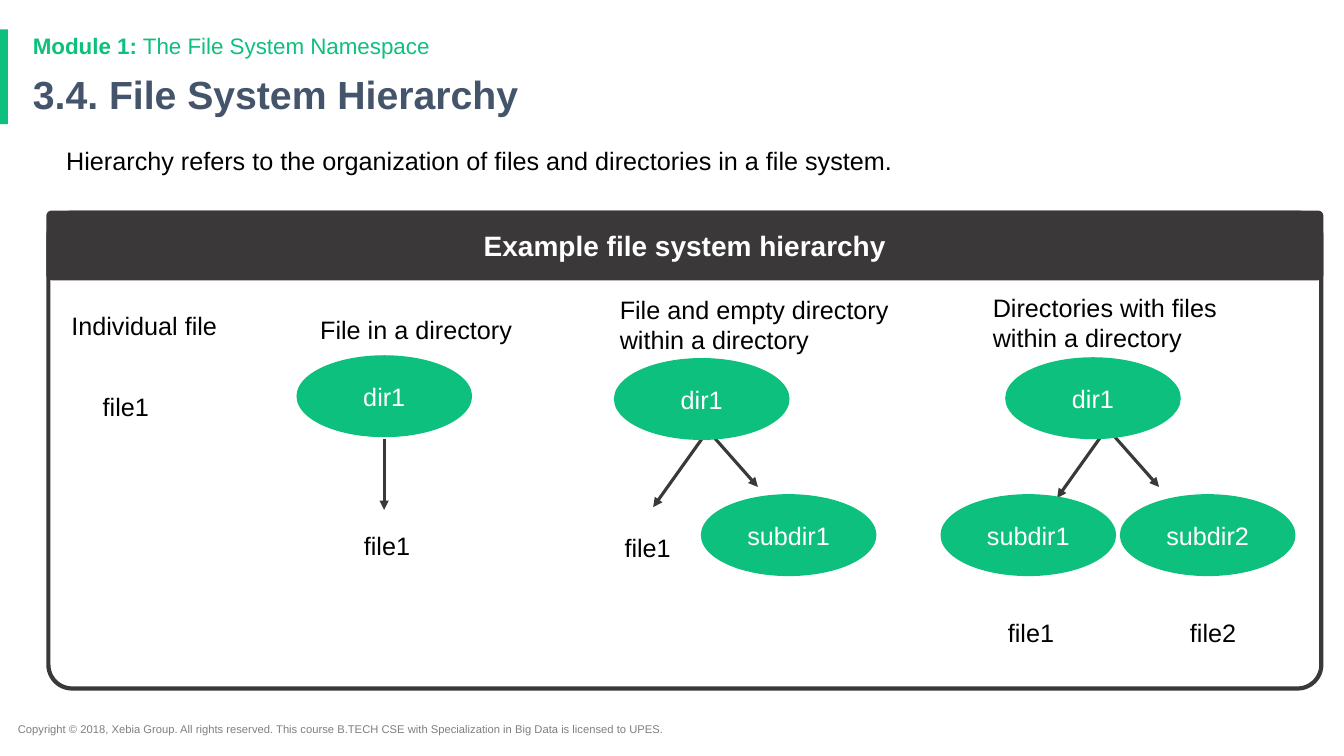
from dataclasses import dataclass

import pptx
import pptx.dml.color
import pptx.enum.shapes
import pptx.enum.text
import pptx.oxml
import pptx.oxml.ns
import pptx.util
from pptx.util import Cm

SHAPE = pptx.enum.shapes.MSO_SHAPE
ANCHOR = pptx.enum.text.MSO_ANCHOR
ALIGN = pptx.enum.text.PP_ALIGN


@dataclass(frozen=True)
class Theme:
    font: str = "Arial"
    green: str = "0EC07D"
    dark: str = "3A3838"
    slate: str = "44546A"
    gray: str = "7F7F7F"
    black: str = "000000"
    white: str = "FFFFFF"
    title: int = 28
    header: int = 20
    body: int = 18
    module: int = 16
    footer: int = 8


@dataclass(frozen=True)
class Label:
    text: str
    x: float
    y: float
    w: float
    h: float
    size: int
    color: str
    bold: bool = False
    wrap: bool = True
    spacing: float = 1.0
    anchor: ANCHOR = ANCHOR.TOP


@dataclass(frozen=True)
class Directory:
    name: str
    x: float
    y: float


@dataclass(frozen=True)
class Arrow:
    x: float
    y: float
    dx: float
    dy: float


T = Theme()
DIR_W, DIR_H = 4.39, 2.03
FILE_W, LINE_H, TWO_LINES_H = 1.68, 1.02, 1.8
PANEL_X, PANEL_Y, PANEL_W, PANEL_H, HEADER_H = 1.22, 5.36, 32.08, 11.99, 1.65
SUBDIR_Y = 12.47
DOWN, LEFT, RIGHT = (0, 1.78), (-1.27, 1.78), (1.24, 1.4)


def rgb(color: str) -> pptx.dml.color.RGBColor:
    return pptx.dml.color.RGBColor.from_string(color)


def style_run(r, size: int, color: str, bold: bool = False) -> None:
    r.font.name = T.font
    r.font.size = pptx.util.Pt(size)
    r.font.bold = bold
    r.font.color.rgb = rgb(color)


def add_label(s, label: Label):
    box = s.shapes.add_textbox(Cm(label.x), Cm(label.y), Cm(label.w), Cm(label.h))
    tf = box.text_frame
    tf.word_wrap = label.wrap
    tf.vertical_anchor = label.anchor
    tf.text = label.text
    p = tf.paragraphs[0]
    p.line_spacing = label.spacing
    style_run(p.runs[0], label.size, label.color, label.bold)
    return p


def add_block(s, kind: SHAPE, x: float, y: float, w: float, h: float,
              fill: str, line: str = "", width: float = 1):
    sp = s.shapes.add_shape(kind, Cm(x), Cm(y), Cm(w), Cm(h))
    sp.shadow.inherit = False
    sp.fill.solid()
    sp.fill.fore_color.rgb = rgb(fill)
    if line:
        sp.line.color.rgb = rgb(line)
        sp.line.width = pptx.util.Pt(width)
    else:
        sp.line.fill.background()
    return sp


def center_text(sp, text: str, size: int, bold: bool = False) -> None:
    tf = sp.text_frame
    tf.text = text
    tf.vertical_anchor = ANCHOR.MIDDLE
    p = tf.paragraphs[0]
    p.alignment = ALIGN.CENTER
    style_run(p.runs[0], size, T.white, bold)


def add_panel(s, h: float, fill: str):
    sp = add_block(s, SHAPE.ROUNDED_RECTANGLE, PANEL_X, PANEL_Y, PANEL_W, h, fill, T.dark, 3)
    sp.adjustments[0] = 0.05
    return sp


def add_directory(s, directory: Directory) -> None:
    sp = add_block(s, SHAPE.OVAL, directory.x, directory.y, DIR_W, DIR_H, T.green, T.green)
    center_text(sp, directory.name, T.body)


def add_arrow(s, arrow: Arrow) -> None:
    line = s.shapes.add_connector(
        pptx.enum.shapes.MSO_CONNECTOR.STRAIGHT, Cm(arrow.x), Cm(arrow.y),
        Cm(arrow.x + arrow.dx), Cm(arrow.y + arrow.dy))
    line.line.color.rgb = rgb(T.dark)
    line.line.width = pptx.util.Pt(2.25)
    ns = pptx.oxml.ns.nsdecls("a")
    line.line._get_or_add_ln().append(
        pptx.oxml.parse_xml(f'<a:tailEnd {ns} type="triangle"/>'))
    line._element.spPr.append(pptx.oxml.parse_xml(f"<a:effectLst {ns}/>"))


def heading(text: str, x: float, y: float, w: float, h: float) -> Label:
    return Label(text, x, y, w, h, T.body, T.black, wrap=h > LINE_H)


def file_label(name: str, x: float, y: float) -> Label:
    return heading(name, x, y, FILE_W, LINE_H)


FOOTER = Label(
    "Copyright © 2018, Xebia Group. All rights reserved. This course B.TECH CSE "
    "with Specialization in Big Data is licensed to UPES.",
    0.2, 18.08, 18.11, 0.61, T.footer, T.gray)
TITLE = Label("3.4. File System Hierarchy", 0.58, 1.75, 29.21, 1.37, T.title, T.slate,
              bold=True, spacing=0.9, anchor=ANCHOR.MIDDLE)
MODULE = Label("Module 1:", 0.58, 0.76, 29.21, 0.84, T.module, T.green,
               bold=True, spacing=0.9)
INTRO = Label("Hierarchy refers to the organization of files and directories in a file system.",
              1.42, 3.63, 28.55, 13.44, T.body, T.black, spacing=0.9)

EXAMPLE_LABELS = [
    heading("Individual file", 1.55, 7.7, 4.22, LINE_H),
    heading("File in a directory", 7.82, 7.8, 5.38, LINE_H),
    heading("File and empty directory within a directory", 15.37, 7.29, 8.33, TWO_LINES_H),
    heading("Directories with files within a directory", 24.77, 7.24, 7.09, TWO_LINES_H),
    file_label("file1", 2.34, 9.73),
    file_label("file1", 8.92, 13.23),
    file_label("file1", 15.49, 13.28),
    file_label("file1", 25.15, 15.44),
    file_label("file2", 29.74, 15.44),
]
ARROWS = [
    Arrow(9.68, 11.07, *DOWN),
    Arrow(17.86, 10.87, *RIGHT),
    Arrow(17.73, 11, *LEFT),
    Arrow(27.97, 10.87, *RIGHT),
    Arrow(27.91, 10.77, *LEFT),
]
DIRECTORIES = [
    Directory("dir1", 7.49, 8.97),
    Directory("dir1", 15.49, 9.04),
    Directory("dir1", 25.35, 9.02),
    Directory("subdir1", 17.68, SUBDIR_Y),
    Directory("subdir1", 23.72, SUBDIR_Y),
    Directory("subdir2", 28.24, SUBDIR_Y),
]


def main() -> None:
    prs = pptx.Presentation()
    prs.slide_width, prs.slide_height = Cm(33.87), Cm(19.05)
    s = prs.slides.add_slide(prs.slide_layouts[6])
    add_block(s, SHAPE.RECTANGLE, 0, 0.74, 0.2, 2.39, T.green)
    for label in (FOOTER, TITLE, INTRO):
        add_label(s, label)
    r = add_label(s, MODULE).add_run()
    r.text = " The File System Namespace"
    style_run(r, T.module, T.green)
    add_panel(s, PANEL_H, T.white)
    center_text(add_panel(s, HEADER_H, T.dark), "Example file system hierarchy", T.header, True)
    for label in EXAMPLE_LABELS:
        add_label(s, label)
    for arrow in ARROWS:
        add_arrow(s, arrow)
    for directory in DIRECTORIES:
        add_directory(s, directory)
    prs.save("out.pptx")


if __name__ == "__main__":
    main()
